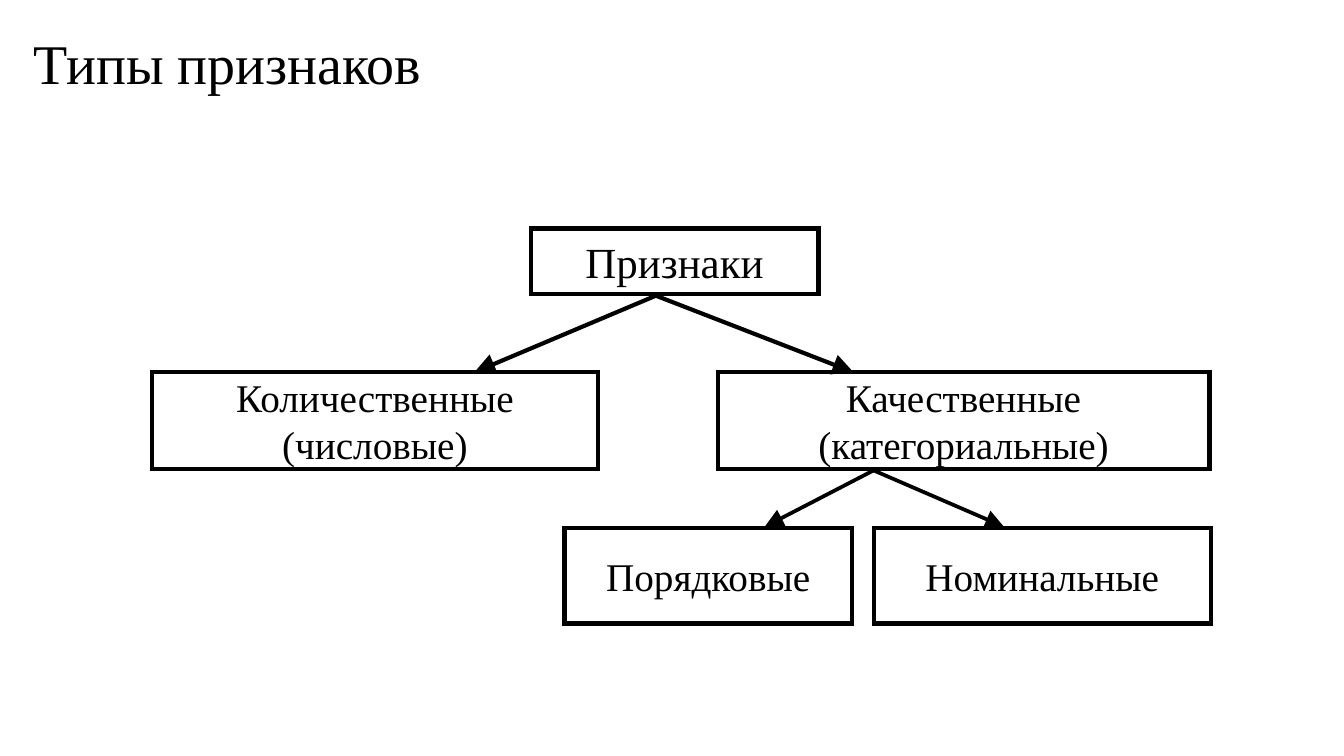
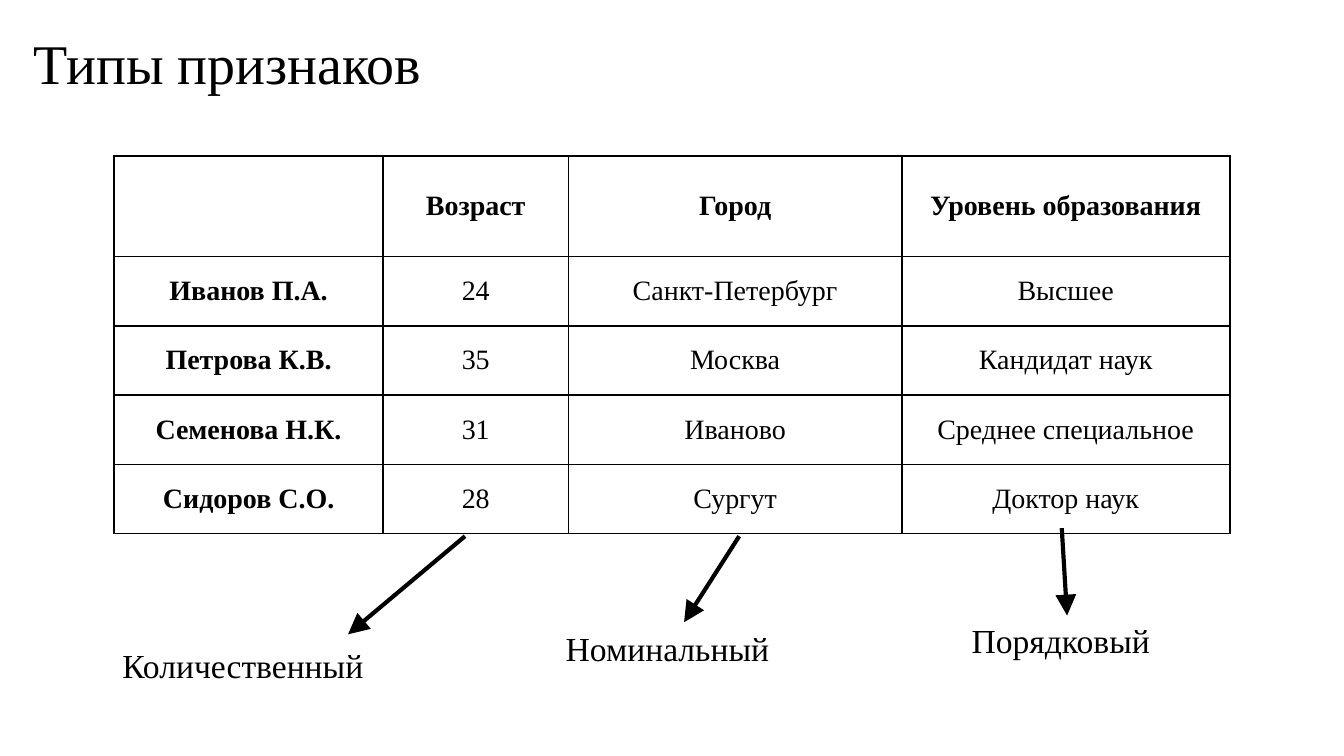
from typing import NamedTuple

from lxml import etree
from pptx import Presentation
from pptx.dml.color import RGBColor
from pptx.enum.shapes import MSO_CONNECTOR, MSO_SHAPE
from pptx.enum.text import MSO_ANCHOR, PP_ALIGN
from pptx.oxml.ns import qn
from pptx.slide import Slide
from pptx.table import _Cell
from pptx.text.text import TextFrame, _Paragraph
from pptx.util import Inches, Pt

RECTANGLE = MSO_SHAPE.RECTANGLE
STRAIGHT = MSO_CONNECTOR.STRAIGHT
TOP, MIDDLE = MSO_ANCHOR.TOP, MSO_ANCHOR.MIDDLE
LEFT, CENTER = PP_ALIGN.LEFT, PP_ALIGN.CENTER

BLACK = RGBColor(0x00, 0x00, 0x00)
WHITE = RGBColor(0xFF, 0xFF, 0xFF)
FONT = "Times New Roman"
TITLE = "Типы признаков"
BLANK_LAYOUT = 6
LINE_WIDTH = 2.25


class Box(NamedTuple):
    """Text with its place in inches and its size in points."""

    lines: tuple[str, ...]
    left: float
    top: float
    width: float
    height: float
    size: float


class Arrow(NamedTuple):
    """Arrow from its tail to its head, in inches."""

    start: tuple[float, float]
    end: tuple[float, float]
    width: float = LINE_WIDTH


FEATURE_BOXES = (
    Box(("Признаки",), 3.95, 1.7, 2.14, 0.49, 23),
    Box(("Количественные", "(числовые)"), 1.13, 2.77, 3.32, 0.72, 21),
    Box(("Качественные", "(категориальные)"), 5.34, 2.77, 3.66, 0.72, 21),
    Box(("Порядковые",), 4.2, 3.93, 2.14, 0.71, 21),
    Box(("Номинальные",), 6.5, 3.93, 2.51, 0.71, 21),
)
FEATURE_ARROWS = (
    Arrow((4.88, 2.2), (3.53, 2.77)),
    Arrow((4.88, 2.2), (6.35, 2.77)),
    Arrow((6.5, 3.5), (5.69, 3.92), 2),
    Arrow((6.5, 3.5), (7.47, 3.92), 2),
)
PEOPLE = (
    ("", "Возраст", "Город", "Уровень образования"),
    ("Иванов П.А.", "24", "Санкт-Петербург", "Высшее"),
    ("Петрова К.В.", "35", "Москва", "Кандидат наук"),
    ("Семенова Н.К.", "31", "Иваново", "Среднее специальное"),
    ("Сидоров С.О.", "28", "Сургут", "Доктор наук"),
)
COLUMN_WIDTHS = (2, 1.38, 2.48, 2.44)
TABLE_HEIGHT, HEADER_HEIGHT = 2.81, 0.75
TYPE_LABELS = (
    Box(("Количественный",), 0.85, 4.77, 2.35, 0.31, 18),
    Box(("Номинальный",), 4.15, 4.64, 1.87, 0.27, 18),
    Box(("Порядковый",), 7.17, 4.58, 1.69, 0.32, 18),
)
TYPE_ARROWS = (
    Arrow((3.46, 3.99), (2.59, 4.72)),
    Arrow((5.5, 3.99), (5.09, 4.63)),
    Arrow((7.9, 3.93), (7.94, 4.58)),
)


def style_paragraph(paragraph: _Paragraph, size: float, align: PP_ALIGN, bold: bool = False) -> None:
    """Set the alignment and font of a paragraph."""
    paragraph.alignment = align
    paragraph.font.name = FONT
    paragraph.font.size = Pt(size)
    paragraph.font.bold = bold
    paragraph.font.color.rgb = BLACK


def set_margins(target: TextFrame | _Cell, horizontal: float, vertical: float) -> None:
    """Set the inner margins of a text frame or a cell."""
    target.margin_left = target.margin_right = Inches(horizontal)
    target.margin_top = target.margin_bottom = Inches(vertical)


def fill_text(frame: TextFrame, box: Box, align: PP_ALIGN, anchor: MSO_ANCHOR,
              margins: tuple[float, float] = (0.06, 0.03)) -> None:
    """Write the lines of a box as paragraphs."""
    frame.word_wrap = True
    frame.vertical_anchor = anchor
    set_margins(frame, *margins)
    frame.text = "\n".join(box.lines)
    for paragraph in frame.paragraphs:
        style_paragraph(paragraph, box.size, align)


def add_label(slide: Slide, box: Box, margins: tuple[float, float] = (0.06, 0.03)) -> None:
    """Add left-aligned text without an outline."""
    shape = slide.shapes.add_textbox(*map(Inches, box[1:5]))
    fill_text(shape.text_frame, box, LEFT, TOP, margins)


def add_box(slide: Slide, box: Box) -> None:
    """Add an outlined rectangle with sharp corners and centred text."""
    shape = slide.shapes.add_shape(RECTANGLE, *map(Inches, box[1:5]))
    shape.shadow.inherit = False
    shape.fill.background()
    shape.line.color.rgb = BLACK
    shape.line.width = Pt(LINE_WIDTH)
    etree.SubElement(shape._element.spPr.find(qn("a:ln")), qn("a:miter"), lim="800000")
    fill_text(shape.text_frame, box, CENTER, MIDDLE)


def add_arrow(slide: Slide, arrow: Arrow) -> None:
    """Add a straight connector with a large triangular head."""
    connector = slide.shapes.add_connector(STRAIGHT, *map(Inches, arrow.start + arrow.end))
    connector.line.color.rgb = BLACK
    connector.line.width = Pt(arrow.width)
    properties = connector._element.spPr
    line = properties.find(qn("a:ln"))
    etree.SubElement(line, qn("a:tailEnd"), type="triangle", w="lg", len="lg")
    etree.SubElement(properties, qn("a:effectLst"))


def add_borders(cell: _Cell) -> None:
    """Draw a thin black border on each side of a cell."""
    properties = cell._tc.get_or_add_tcPr()
    for index, side in enumerate(("a:lnL", "a:lnR", "a:lnT", "a:lnB")):
        line = etree.Element(qn(side), w=str(Pt(1)))
        fill = etree.SubElement(line, qn("a:solidFill"))
        etree.SubElement(fill, qn("a:srgbClr"), val=str(BLACK))
        properties.insert(index, line)


def add_people_table(slide: Slide) -> None:
    """Add the table of people with bold row and column headings."""
    body_count = len(PEOPLE) - 1
    row_heights = [HEADER_HEIGHT] + [(TABLE_HEIGHT - HEADER_HEIGHT) / body_count] * body_count
    table = slide.shapes.add_table(
        len(PEOPLE), len(COLUMN_WIDTHS), Inches(0.85), Inches(1.16),
        Inches(sum(COLUMN_WIDTHS)), Inches(TABLE_HEIGHT),
    ).table
    for column, width in zip(table.columns, COLUMN_WIDTHS):
        column.width = Inches(width)
    for row, height in zip(table.rows, row_heights):
        row.height = Inches(height)
    for row_index, values in enumerate(PEOPLE):
        for column_index, value in enumerate(values):
            cell = table.cell(row_index, column_index)
            cell.text = value
            cell.vertical_anchor = MIDDLE
            set_margins(cell, 0.07, 0.03)
            cell.fill.solid()
            cell.fill.fore_color.rgb = WHITE
            add_borders(cell)
            heading = row_index == 0 or column_index == 0
            style_paragraph(cell.text_frame.paragraphs[0], 15, CENTER, heading)


def add_titled_slide(presentation: Presentation) -> Slide:
    """Add a blank slide with the shared title."""
    slide = presentation.slides.add_slide(presentation.slide_layouts[BLANK_LAYOUT])
    add_label(slide, Box((TITLE,), 0.15, 0.16, 7.5, 0.88, 30), (0.1, 0.05))
    return slide


def build_tree_slide(presentation: Presentation) -> None:
    """Build the tree of feature types."""
    slide = add_titled_slide(presentation)
    for box in FEATURE_BOXES:
        add_box(slide, box)
    for arrow in FEATURE_ARROWS:
        add_arrow(slide, arrow)


def build_table_slide(presentation: Presentation) -> None:
    """Build the example table with a type below each feature."""
    slide = add_titled_slide(presentation)
    add_people_table(slide)
    for label, arrow in zip(TYPE_LABELS, TYPE_ARROWS):
        add_label(slide, label)
        add_arrow(slide, arrow)


def main() -> None:
    """Build and save the widescreen presentation."""
    presentation = Presentation()
    presentation.slide_width = Inches(10)
    presentation.slide_height = Inches(10 * 9 / 16)
    build_tree_slide(presentation)
    build_table_slide(presentation)
    presentation.save("out.pptx")


if __name__ == "__main__":
    main()
